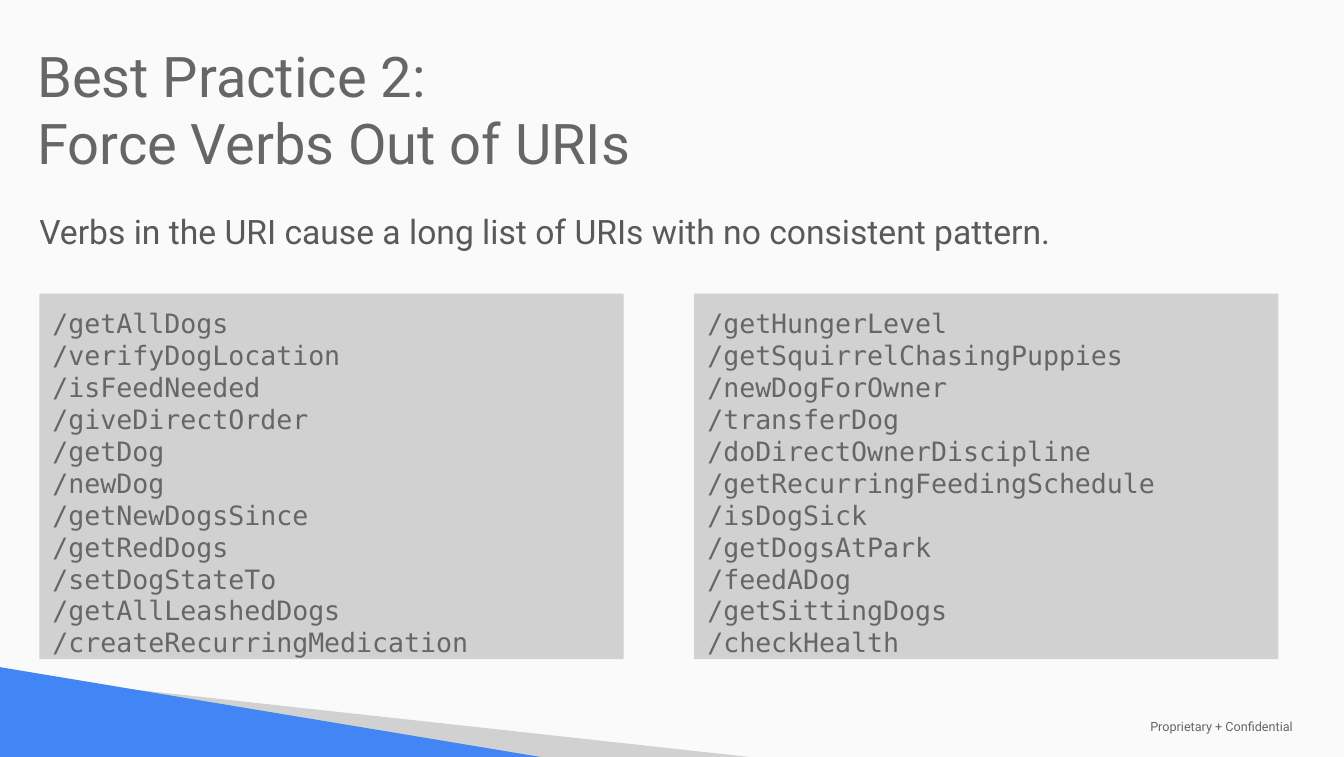
from dataclasses import dataclass

from pptx import Presentation
from pptx.dml.color import RGBColor
from pptx.enum.shapes import MSO_SHAPE
from pptx.enum.text import MSO_ANCHOR, PP_ALIGN
from pptx.util import Inches, Pt

RECTANGLE = MSO_SHAPE.RECTANGLE
TOP, MIDDLE, BOTTOM = MSO_ANCHOR.TOP, MSO_ANCHOR.MIDDLE, MSO_ANCHOR.BOTTOM
LEFT = PP_ALIGN.LEFT


@dataclass(frozen=True)
class Theme:
    """Colours, fonts and type sizes of the slide."""
    background: str = "FAFAFA"
    panel: str = "D1D1D1"
    accent: str = "4285F4"
    text: str = "666666"
    body_text: str = "595959"
    font: str = "Roboto"
    code_font: str = "DejaVu Sans Mono"
    title_size: int = 40
    body_size: int = 24
    code_size: int = 19
    footer_size: int = 9


THEME = Theme()
INSET = 0.13
PANEL_LEFT, PANEL_TOP, PANEL_STEP = 0.39, 2.91, 6.49
PANEL_WIDTH, PANEL_HEIGHT = 5.79, 3.62

URI_COLUMNS = [
    ["/getAllDogs", "/verifyDogLocation", "/isFeedNeeded", "/giveDirectOrder",
     "/getDog", "/newDog", "/getNewDogsSince", "/getRedDogs", "/setDogStateTo",
     "/getAllLeashedDogs", "/createRecurringMedication"],
    ["/getHungerLevel", "/getSquirrelChasingPuppies", "/newDogForOwner",
     "/transferDog", "/doDirectOwnerDiscipline", "/getRecurringFeedingSchedule",
     "/isDogSick", "/getDogsAtPark", "/feedADog", "/getSittingDogs",
     "/checkHealth"],
]


def paint(shape, color):
    """Give a shape a flat fill without line or shadow."""
    shape.shadow.inherit = False
    shape.fill.solid()
    shape.fill.fore_color.rgb = RGBColor.from_string(color)
    shape.line.fill.background()


def write_lines(shape, lines, size, color=THEME.text, font=THEME.font,
                anchor=TOP, line_spacing=1.0):
    """Write one left-aligned paragraph per line into a shape."""
    frame = shape.text_frame
    frame.word_wrap = True
    frame.vertical_anchor = anchor
    frame.margin_left = frame.margin_right = Inches(INSET)
    frame.margin_top = frame.margin_bottom = Inches(INSET)
    frame.text = "\n".join(lines)
    for paragraph in frame.paragraphs:
        paragraph.alignment = LEFT
        paragraph.line_spacing = line_spacing
        for run in paragraph.runs:
            run.font.name = font
            run.font.size = Pt(size)
            run.font.color.rgb = RGBColor.from_string(color)


def add_text(slide, box, lines, size, **style):
    """Add a text box at left, top, width, height."""
    shape = slide.shapes.add_textbox(*map(Inches, box))
    write_lines(shape, lines, size, **style)


def add_triangle(slide, points, color):
    """Add a filled outline through the given points."""
    corners = [(Inches(x), Inches(y)) for x, y in points]
    builder = slide.shapes.build_freeform(*corners[0], scale=1.0)
    builder.add_line_segments(corners[1:], close=True)
    paint(builder.convert_to_shape(), color)


def add_code_panel(slide, left, lines):
    """Add a grey panel listing URIs."""
    box = (left, PANEL_TOP, PANEL_WIDTH, PANEL_HEIGHT)
    panel = slide.shapes.add_shape(RECTANGLE, *map(Inches, box))
    paint(panel, THEME.panel)
    write_lines(panel, lines, THEME.code_size, font=THEME.code_font)


def main():
    """Build the slide and save it."""
    presentation = Presentation()
    presentation.slide_width = Inches(13.32)
    presentation.slide_height = Inches(7.5)
    slide = presentation.slides.add_slide(presentation.slide_layouts[6])
    slide.background.fill.solid()
    slide.background.fill.fore_color.rgb = RGBColor.from_string(THEME.background)

    add_triangle(slide, [(1.13, 6.81), (7.43, 7.5), (5.34, 7.5)], THEME.panel)
    add_triangle(slide, [(0, 6.61), (0, 7.5), (5.36, 7.5)], THEME.accent)
    add_text(slide, (11.27, 7.11, 1.99, 0.18), ["Proprietary + Confidential"],
             THEME.footer_size, anchor=MIDDLE)
    add_text(slide, (0.24, 0.41, 9.63, 1.46),
             ["Best Practice 2:", "Force Verbs Out of URIs"],
             THEME.title_size, anchor=BOTTOM)
    add_text(slide, (0.26, 1.9, 12.42, 0.56),
             ["Verbs in the URI cause a long list of URIs with no consistent pattern."],
             THEME.body_size, color=THEME.body_text, line_spacing=1.15)
    for index, lines in enumerate(URI_COLUMNS):
        add_code_panel(slide, PANEL_LEFT + index * PANEL_STEP, lines)

    presentation.save("out.pptx")


if __name__ == "__main__":
    main()
